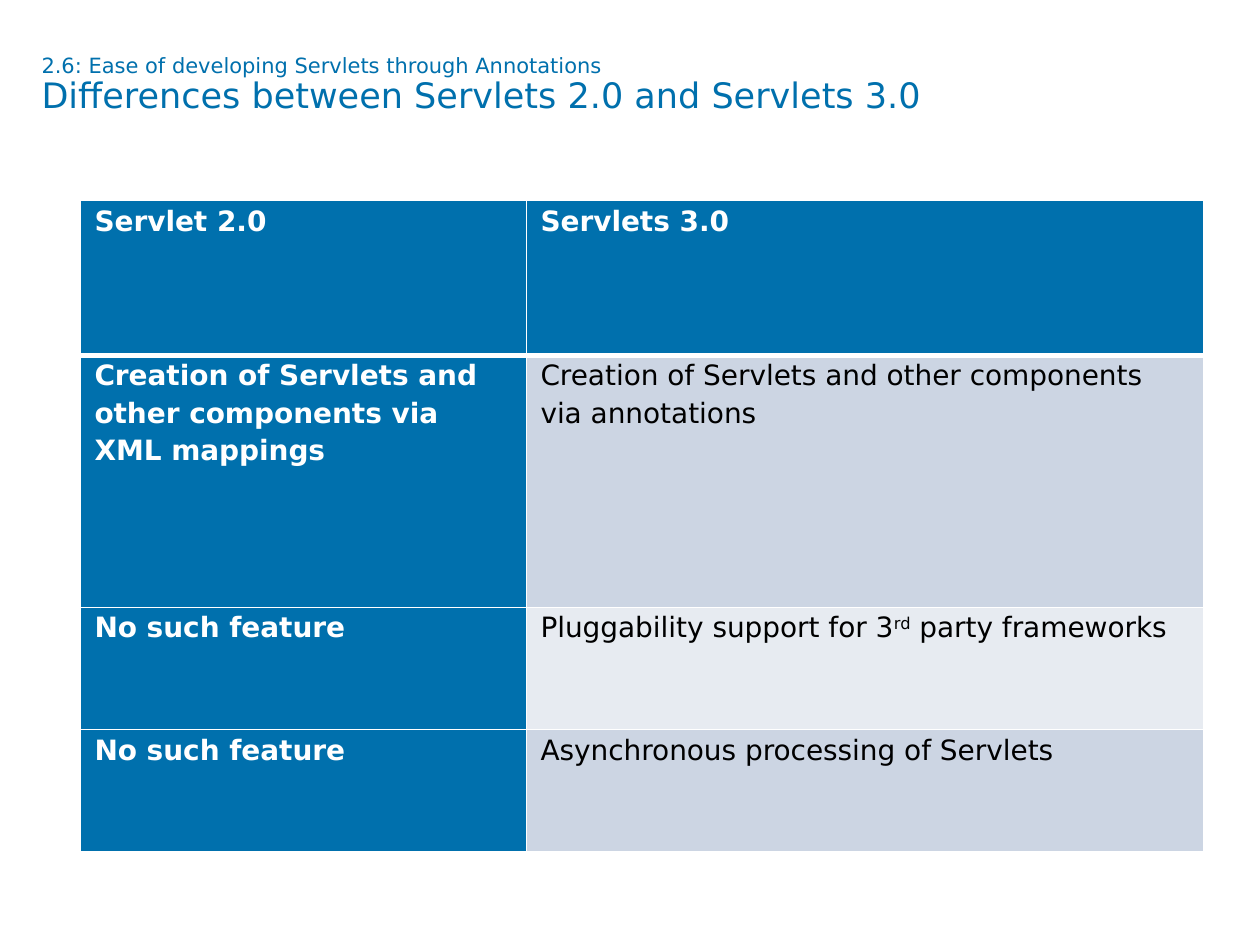
from dataclasses import dataclass

import pptx
import pptx.dml.color
import pptx.enum.text
import pptx.oxml
import pptx.oxml.ns
import pptx.util

COLORS = {
    "blue": "0070AD",
    "white": "FFFFFF",
    "black": "000000",
    "band_dark": "CCD5E3",
    "band_light": "E7EBF1",
}
FONT = "DejaVu Sans"
WIDTH, HEIGHT = pptx.util.Inches(10), pptx.util.Inches(7.5)
COLUMN_WIDTHS = (3.54, 5.37)
THIN, THICK = 1, 3


@dataclass(frozen=True)
class Span:
    text: str
    superscript: bool = False


@dataclass(frozen=True)
class Row:
    height: float
    left: str
    right: tuple[Span, ...]


ROWS = (
    Row(1.23, "Servlet 2.0", (Span("Servlets 3.0"),)),
    Row(2, "Creation of Servlets and other components via XML mappings",
        (Span("Creation of Servlets and other components via annotations"),)),
    Row(0.97, "No such feature",
        (Span("Pluggability support for 3"), Span("rd", True), Span(" party frameworks"))),
    Row(0.97, "No such feature", (Span("Asynchronous processing of Servlets"),)),
)


def rgb(name: str) -> pptx.dml.color.RGBColor:
    return pptx.dml.color.RGBColor.from_string(COLORS[name])


def set_font(font, size: float, color: str, bold: bool = False) -> None:
    font.name = FONT
    font.size = pptx.util.Pt(size)
    font.bold = bold
    font.color.rgb = rgb(color)


def add_title(page) -> None:
    box = page.shapes.add_textbox(
        round(WIDTH * 0.033), round(HEIGHT * 0.059), round(WIDTH * 0.904), round(HEIGHT * 0.125))
    frame = box.text_frame
    frame.word_wrap = True
    frame.vertical_anchor = pptx.enum.text.MSO_ANCHOR.TOP
    frame.margin_left = frame.margin_right = frame.margin_top = frame.margin_bottom = 0
    para = frame.paragraphs[0]
    para.line_spacing = 0.9
    set_font(para.font, 12, "blue")
    para.add_run().text = "2.6: Ease of developing Servlets through Annotations"
    para.add_line_break()
    heading = para.add_run()
    heading.text = "Differences between Servlets 2.0 and Servlets 3.0"
    heading.font.size = pptx.util.Pt(20)


def set_borders(cell, top: float, bottom: float) -> None:
    """Draw white borders; they must precede the fill in the cell properties."""
    properties = cell._tc.get_or_add_tcPr()
    namespace = pptx.oxml.ns.nsdecls("a")
    widths = {"lnL": THIN, "lnR": THIN, "lnT": top, "lnB": bottom}
    for index, (side, width) in enumerate(widths.items()):
        properties.insert(index, pptx.oxml.parse_xml(
            f'<a:{side} {namespace} w="{pptx.util.Pt(width)}"><a:solidFill>'
            f'<a:srgbClr val="{COLORS["white"]}"/></a:solidFill></a:{side}>'))


def fill_cell(cell, spans: tuple[Span, ...], fill: str, emphasised: bool) -> None:
    cell.fill.solid()
    cell.fill.fore_color.rgb = rgb(fill)
    cell.margin_left = cell.margin_right = pptx.util.Inches(0.11)
    cell.margin_top = cell.margin_bottom = 0
    para = cell.text_frame.paragraphs[0]
    para.line_spacing = 1.15
    set_font(para.font, 16, "white" if emphasised else "black", emphasised)
    for span in spans:
        run = para.add_run()
        run.text = span.text
        if span.superscript:
            run._r.get_or_add_rPr().set("baseline", "30000")


def add_comparison(page) -> None:
    table = page.shapes.add_table(
        len(ROWS), len(COLUMN_WIDTHS), round(WIDTH * 0.064), round(HEIGHT * 0.212),
        pptx.util.Inches(sum(COLUMN_WIDTHS)),
        pptx.util.Inches(sum(row.height for row in ROWS))).table
    for column, width in zip(table.columns, COLUMN_WIDTHS):
        column.width = pptx.util.Inches(width)
    for index, row in enumerate(ROWS):
        table.rows[index].height = pptx.util.Inches(row.height)
        band = "band_dark" if index % 2 else "band_light"
        for column, spans in enumerate(((Span(row.left),), row.right)):
            emphasised = index == 0 or column == 0
            cell = table.cell(index, column)
            fill_cell(cell, spans, "blue" if emphasised else band, emphasised)
            set_borders(cell, THICK if index == 1 else THIN, THICK if index == 0 else THIN)


def main() -> None:
    deck = pptx.Presentation()
    deck.slide_width, deck.slide_height = WIDTH, HEIGHT
    page = deck.slides.add_slide(deck.slide_layouts[6])
    add_title(page)
    add_comparison(page)
    deck.save("out.pptx")


if __name__ == "__main__":
    main()
